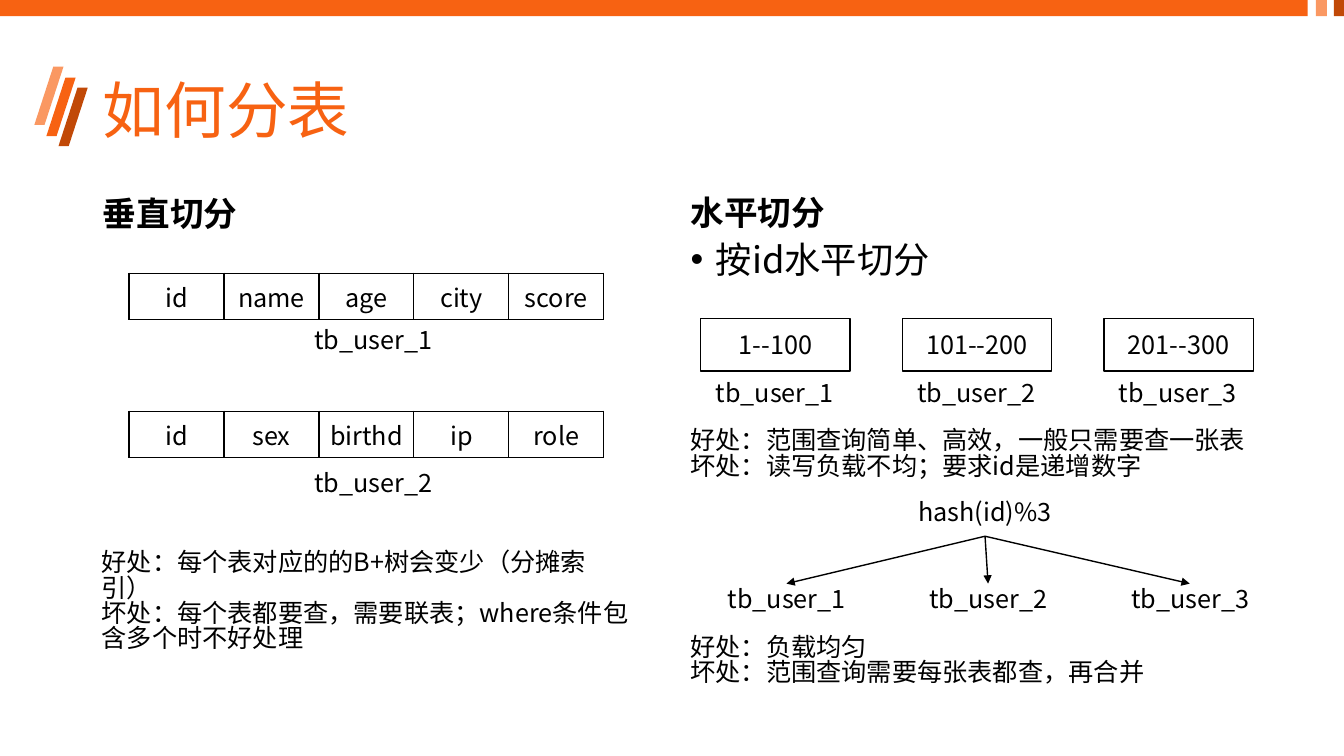
from dataclasses import dataclass

import pptx
import pptx.dml.color
import pptx.enum.shapes
import pptx.enum.text
import pptx.oxml
import pptx.oxml.ns
import pptx.util
from lxml import etree

EMU_PER_PX = 9144
FONT = "Noto Sans CJK SC"
ORANGE, LIGHT, DARK = "F76212", "FA9862", "C14907"
BLACK, WHITE = "000000", "FFFFFF"
COLUMN_STEP = 200
BOX_LINE_SPACING = 0.84

Shapes = pptx.enum.shapes.MSO_SHAPE
Align = pptx.enum.text.PP_ALIGN
Anchor = pptx.enum.text.MSO_ANCHOR


@dataclass(frozen=True)
class Area:
    left: int
    top: int
    width: int
    height: int

    def emu(self) -> tuple:
        return tuple(px(side) for side in (self.left, self.top, self.width, self.height))


@dataclass(frozen=True)
class Decoration:
    kind: int
    area: Area
    color: str


@dataclass(frozen=True)
class PlaceholderText:
    index: int
    area: Area
    text: str
    size: float
    color: str
    bold: bool
    anchor: int
    line_spacing: float


@dataclass(frozen=True)
class Note:
    area: Area
    lines: tuple
    wrap: bool = True


@dataclass(frozen=True)
class FieldTable:
    top: int
    fields: tuple


def px(length: int) -> int:
    return pptx.util.Emu(length * EMU_PER_PX)


def rgb(color: str) -> pptx.dml.color.RGBColor:
    return pptx.dml.color.RGBColor.from_string(color)


def add_xml(parent, tag: str, **attributes):
    return etree.SubElement(parent, pptx.oxml.ns.qn(tag), **attributes)


def format_paragraph(paragraph, size: float = 18, color: str = BLACK, bold: bool = False,
                     align: int = Align.LEFT, line_spacing: float = 1.0) -> None:
    paragraph.alignment = align
    paragraph.line_spacing = line_spacing
    paragraph.space_before = pptx.util.Pt(0)
    font = paragraph.font
    font.name, font.size, font.bold = FONT, pptx.util.Pt(size), bold
    font.color.rgb = rgb(color)
    defaults = paragraph._p.pPr.find(pptx.oxml.ns.qn("a:defRPr"))
    add_xml(defaults, "a:ea", typeface=FONT)


def add_block(slide, kind: int, area: Area, fill: str):
    shape = slide.shapes.add_shape(kind, *area.emu())
    shape.shadow.inherit = False
    shape.fill.solid()
    shape.fill.fore_color.rgb = rgb(fill)
    shape.line.fill.background()
    return shape


def draw_decoration(slide, decoration: Decoration) -> None:
    shape = add_block(slide, decoration.kind, decoration.area, decoration.color)
    if decoration.kind == Shapes.PARALLELOGRAM:
        shape.adjustments[0] = 0.65


def fill_placeholder(slide, item: PlaceholderText) -> None:
    shape = slide.placeholders[item.index]
    shape.left, shape.top, shape.width, shape.height = item.area.emu()
    frame = shape.text_frame
    frame.text = item.text
    frame.vertical_anchor = item.anchor
    frame.auto_size = pptx.enum.text.MSO_AUTO_SIZE.NONE
    paragraph = frame.paragraphs[0]
    if item.index == 4:
        properties = paragraph._p.get_or_add_pPr()
        properties.set("marL", str(px(25)))
        properties.set("indent", str(-px(25)))
        add_xml(properties, "a:buFont", typeface="Arial")
        add_xml(properties, "a:buChar", char="•")
    format_paragraph(paragraph, item.size, item.color, item.bold,
                     line_spacing=item.line_spacing)


def draw_note(slide, note: Note) -> None:
    frame = slide.shapes.add_textbox(*note.area.emu()).text_frame
    frame.word_wrap = note.wrap
    frame.text = "\n".join(note.lines)
    for paragraph in frame.paragraphs:
        format_paragraph(paragraph, line_spacing=BOX_LINE_SPACING)


def draw_table(slide, item: FieldTable) -> None:
    area = Area(128, item.top, 471, 40)
    table = slide.shapes.add_table(1, len(item.fields), *area.emu()).table
    table.first_row = table.horz_banding = False
    for cell, field in zip(table.rows[0].cells, item.fields):
        cell.text = field
        format_paragraph(cell.text_frame.paragraphs[0], align=Align.CENTER)
        properties = cell._tc.get_or_add_tcPr()
        for side in ("a:lnL", "a:lnR", "a:lnT", "a:lnB"):
            border = add_xml(properties, side, w=str(pptx.util.Pt(1)))
            add_xml(add_xml(border, "a:solidFill"), "a:srgbClr", val=BLACK)
        cell.fill.background()


def draw_range(slide, left: int, text: str) -> None:
    shape = add_block(slide, Shapes.RECTANGLE, Area(left, 316, 148, 52), WHITE)
    shape.line.color.rgb = rgb(BLACK)
    shape.line.width = pptx.util.Pt(1)
    shape.text_frame.text = text
    shape.text_frame.vertical_anchor = Anchor.MIDDLE
    format_paragraph(shape.text_frame.paragraphs[0], align=Align.CENTER)


def draw_arrow(slide, end: int) -> None:
    arrow = slide.shapes.add_connector(pptx.enum.shapes.MSO_CONNECTOR.STRAIGHT,
                                       px(977), px(532), px(end), px(579))
    arrow.line.color.rgb = rgb(BLACK)
    arrow.line.width = pptx.util.Pt(1)
    add_xml(arrow.line._get_or_add_ln(), "a:tailEnd", type="triangle")
    add_xml(arrow._element.spPr, "a:effectLst")


DECORATIONS = (
    Decoration(Shapes.RECTANGLE, Area(0, 0, 1297, 16), ORANGE),
    Decoration(Shapes.RECTANGLE, Area(1305, 0, 11, 16), LIGHT),
    Decoration(Shapes.RECTANGLE, Area(1323, 0, 11, 16), DARK),
    Decoration(Shapes.PARALLELOGRAM, Area(46, 77, 29, 58), ORANGE),
    Decoration(Shapes.PARALLELOGRAM, Area(34, 66, 29, 58), LIGHT),
    Decoration(Shapes.PARALLELOGRAM, Area(58, 87, 29, 58), DARK),
)
PLACEHOLDERS = (
    PlaceholderText(0, Area(92, 40, 1150, 145), "如何分表", 44, ORANGE, False, Anchor.MIDDLE, 0.9),
    PlaceholderText(1, Area(92, 184, 564, 52), "垂直切分", 24, BLACK, True, Anchor.BOTTOM, 1.0),
    PlaceholderText(3, Area(675, 184, 567, 51), "水平切分", 24, BLACK, True, Anchor.BOTTOM, 1.0),
    PlaceholderText(4, Area(675, 235, 567, 51), "按id水平切分", 25.9, BLACK, False, Anchor.TOP, 0.9),
)
TABLES = (
    FieldTable(271, ("id", "name", "age", "city", "score")),
    FieldTable(408, ("id", "sex", "birthd", "ip", "role")),
)
NOTES = (
    Note(Area(302, 322, 137, 40), ("tb_user_1",), False),
    Note(Area(302, 464, 137, 40), ("tb_user_2",), False),
    Note(Area(901, 492, 152, 40), ("hash(id)%3",), False),
    Note(Area(91, 542, 544, 101), ("好处：每个表对应的的B+树会变少（分摊索引）",
                                   "坏处：每个表都要查，需要联表；where条件包含多个时不好处理")),
    Note(Area(675, 421, 579, 71), ("好处：范围查询简单、高效，一般只需要查一张表",
                                   "坏处：读写负载不均；要求id是递增数字")),
    Note(Area(675, 626, 579, 71), ("好处：负载均匀", "坏处：范围查询需要每张表都查，再合并")),
)
RANGES = ("1--100", "101--200", "201--300")


def main() -> None:
    presentation = pptx.Presentation()
    presentation.slide_width, presentation.slide_height = px(1333), px(750)
    slide = presentation.slides.add_slide(presentation.slide_layouts[4])
    unused = slide.placeholders[2]._element
    unused.getparent().remove(unused)
    for decoration in DECORATIONS:
        draw_decoration(slide, decoration)
    for item in PLACEHOLDERS:
        fill_placeholder(slide, item)
    for table in TABLES:
        draw_table(slide, table)
    for note in NOTES:
        draw_note(slide, note)
    for column, text in enumerate(RANGES):
        offset = column * COLUMN_STEP
        draw_range(slide, 695 + offset, text)
        for left, top in ((700, 374), (712, 579)):
            draw_note(slide, Note(Area(left + offset, top, 137, 40), (f"tb_user_{column + 1}",), False))
        draw_arrow(slide, 780 + offset)
    presentation.save("out.pptx")


if __name__ == "__main__":
    main()
